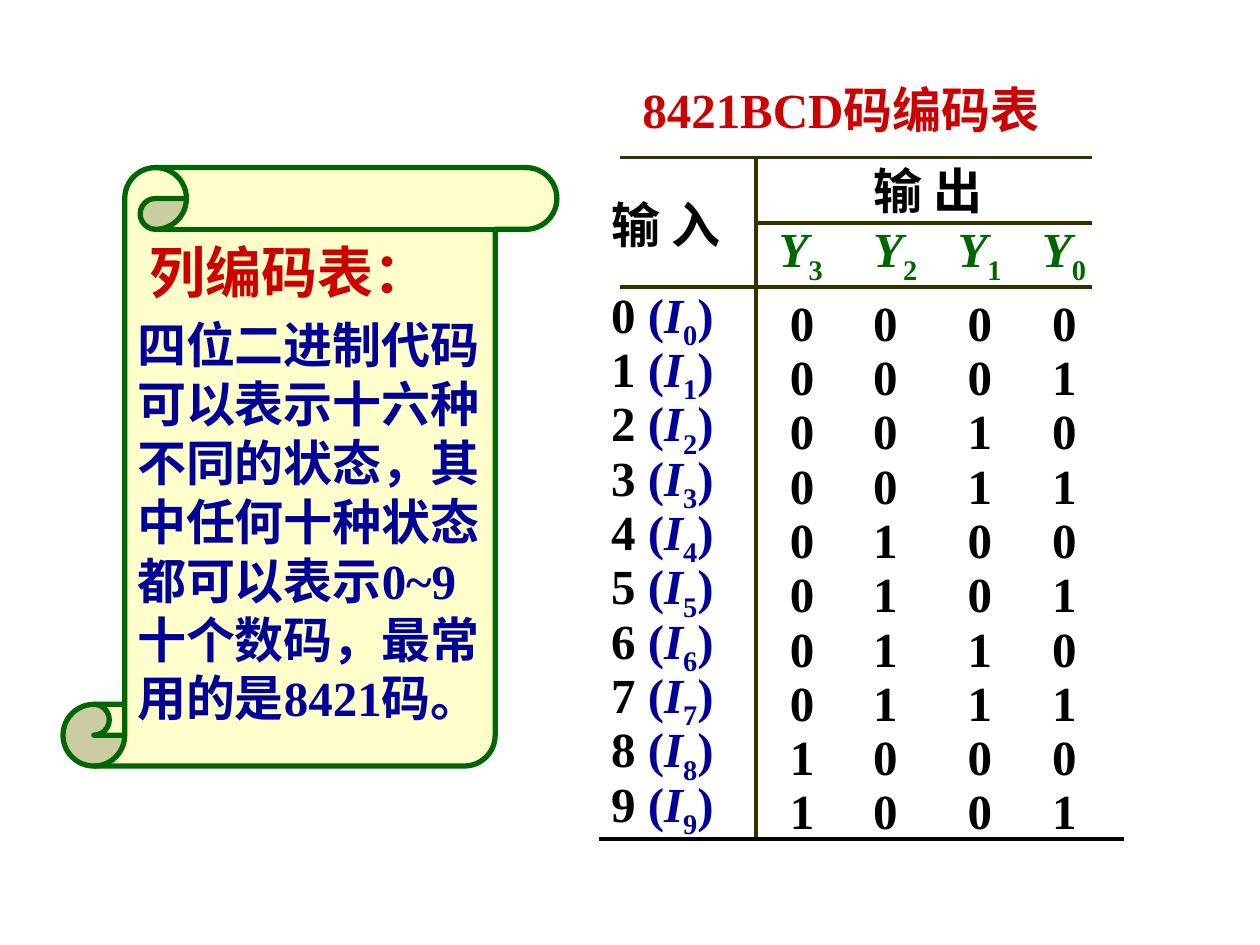
from pptx import Presentation
from pptx.dml.color import RGBColor
from pptx.enum import shapes, text
from pptx.oxml import xmlchemy
from pptx.util import Inches, Pt

FONT = "Times New Roman"
RED = RGBColor(0xCC, 0x00, 0x00)
BLUE = RGBColor(0x00, 0x00, 0x99)
GREEN = RGBColor(0x00, 0x66, 0x00)
CREAM = RGBColor(0xFF, 0xFF, 0xCC)
OLIVE = RGBColor(0x33, 0x33, 0x00)
BLACK = RGBColor(0x00, 0x00, 0x00)
NO_STYLE = "{2D5ABB26-0587-4C30-8999-92F81FD0307C}"

EXPLANATION = ("四位二进制代码可以表示十六种不同的状态，"
               "其中任何十种状态都可以表示0~9十个数码，最常用的是8421码。")
OUTPUT_BITS = (3, 2, 1, 0)
DIGIT_INSETS = (0.19, 0.1, 0.18, 0.18)
COLUMN_WIDTHS = (1.33, 0.75, 0.67, 0.67, 0.75)
ROW_HEIGHTS = (0.51, 0.68) + (0.43,) * 10
RULES = (
    (4.92, 1.25, 8.67, 1.25, OLIVE),
    (6, 1.25, 6, 6.66, OLIVE),
    (4.92, 2.28, 8.67, 2.28, OLIVE),
    (6, 1.77, 8.67, 1.77, OLIVE),
    (4.75, 6.66, 8.92, 6.66, BLACK),
)


def style(paragraph, color, size=28):
    paragraph.alignment = text.PP_ALIGN.LEFT
    font = paragraph.font
    font.name, font.size, font.bold = FONT, Pt(size), True
    font.color.rgb = color


def add_run(paragraph, words, color, italic=False, subscript=False):
    run = paragraph.add_run()
    run.text = words
    run.font.color.rgb = color
    if italic:
        run.font.italic = True
    if subscript:
        run.font._element.set("baseline", "-25000")


def add_symbol(paragraph, letter, index, color):
    add_run(paragraph, letter, color, italic=True)
    add_run(paragraph, str(index), color, subscript=True)


def prepare_cell(cell, left=0.1, top=0.0):
    cell.fill.background()
    cell.margin_left, cell.margin_top = Inches(left), Inches(top)
    cell.margin_right = cell.margin_bottom = 0
    paragraph = cell.text_frame.paragraphs[0]
    style(paragraph, BLACK)
    return paragraph


def add_scroll(slide):
    scroll = slide.shapes.add_shape(
        shapes.MSO_SHAPE.VERTICAL_SCROLL,
        Inches(0.5), Inches(1.33), Inches(3.92), Inches(4.75))
    scroll.shadow.inherit = False
    scroll.fill.solid()
    scroll.fill.fore_color.rgb = CREAM
    scroll.line.color.rgb = GREEN
    scroll.line.width = Pt(3)
    frame = scroll.text_frame
    frame.word_wrap = True
    frame.vertical_anchor = text.MSO_ANCHOR.MIDDLE
    heading = frame.paragraphs[0]
    heading.text = " 列编码表："
    style(heading, RED, 32)
    body = frame.add_paragraph()
    body.text = EXPLANATION
    body.space_before = Pt(5.6)
    style(body, BLUE)


def add_title(slide):
    title = slide.shapes.add_textbox(
        Inches(5), Inches(0.58), Inches(3.92), Inches(0.57))
    title.text_frame.word_wrap = True
    paragraph = title.text_frame.paragraphs[0]
    paragraph.text = "8421BCD码编码表"
    style(paragraph, RED)


def add_code_table(slide):
    frame = slide.shapes.add_table(
        len(ROW_HEIGHTS), len(COLUMN_WIDTHS), Inches(4.75), Inches(1.17),
        Inches(sum(COLUMN_WIDTHS)), Inches(sum(ROW_HEIGHTS)))
    table = frame.table
    table.first_row = table.horz_banding = False
    table._tbl.tblPr[0].text = NO_STYLE
    for column, width in zip(table.columns, COLUMN_WIDTHS):
        column.width = Inches(width)
    for row, height in zip(table.rows, ROW_HEIGHTS):
        row.height = Inches(height)

    table.cell(0, 0).merge(table.cell(1, 0))
    table.cell(0, 1).merge(table.cell(0, 4))
    for row in range(2):
        for column in range(5):
            prepare_cell(table.cell(row, column))
    table.cell(0, 0).vertical_anchor = text.MSO_ANCHOR.MIDDLE
    add_run(prepare_cell(table.cell(0, 0)), "输 入", BLACK)
    add_run(prepare_cell(table.cell(0, 1), 0.85, 0.04), "输 出", BLACK)
    for column, bit in enumerate(OUTPUT_BITS, 1):
        add_symbol(prepare_cell(table.cell(1, column), top=0.1), "Y", bit, GREEN)

    for number in range(10):
        label = prepare_cell(table.cell(number + 2, 0))
        label.line_spacing = Pt(31)
        add_run(label, f"{number} ", BLACK)
        add_run(label, "(", BLUE)
        add_symbol(label, "I", number, BLUE)
        add_run(label, ")", BLUE)
        for column, (bit, inset) in enumerate(zip(OUTPUT_BITS, DIGIT_INSETS), 1):
            digit = prepare_cell(table.cell(number + 2, column), inset)
            digit.line_spacing = Pt(31)
            add_run(digit, str(number >> bit & 1), BLACK)


def add_rule(slide, x1, y1, x2, y2, color):
    rule = slide.shapes.add_connector(
        shapes.MSO_CONNECTOR.STRAIGHT,
        Inches(x1), Inches(y1), Inches(x2), Inches(y2))
    rule.line.color.rgb = color
    rule.line.width = Pt(2.25)
    rule._element.spPr.append(xmlchemy.OxmlElement("a:effectLst"))


def main():
    deck = Presentation()
    deck.slide_width, deck.slide_height = Inches(10), Inches(7.5)
    slide = deck.slides.add_slide(deck.slide_layouts[6])
    add_scroll(slide)
    add_title(slide)
    add_code_table(slide)
    for rule in RULES:
        add_rule(slide, *rule)
    deck.save("out.pptx")


if __name__ == "__main__":
    main()
